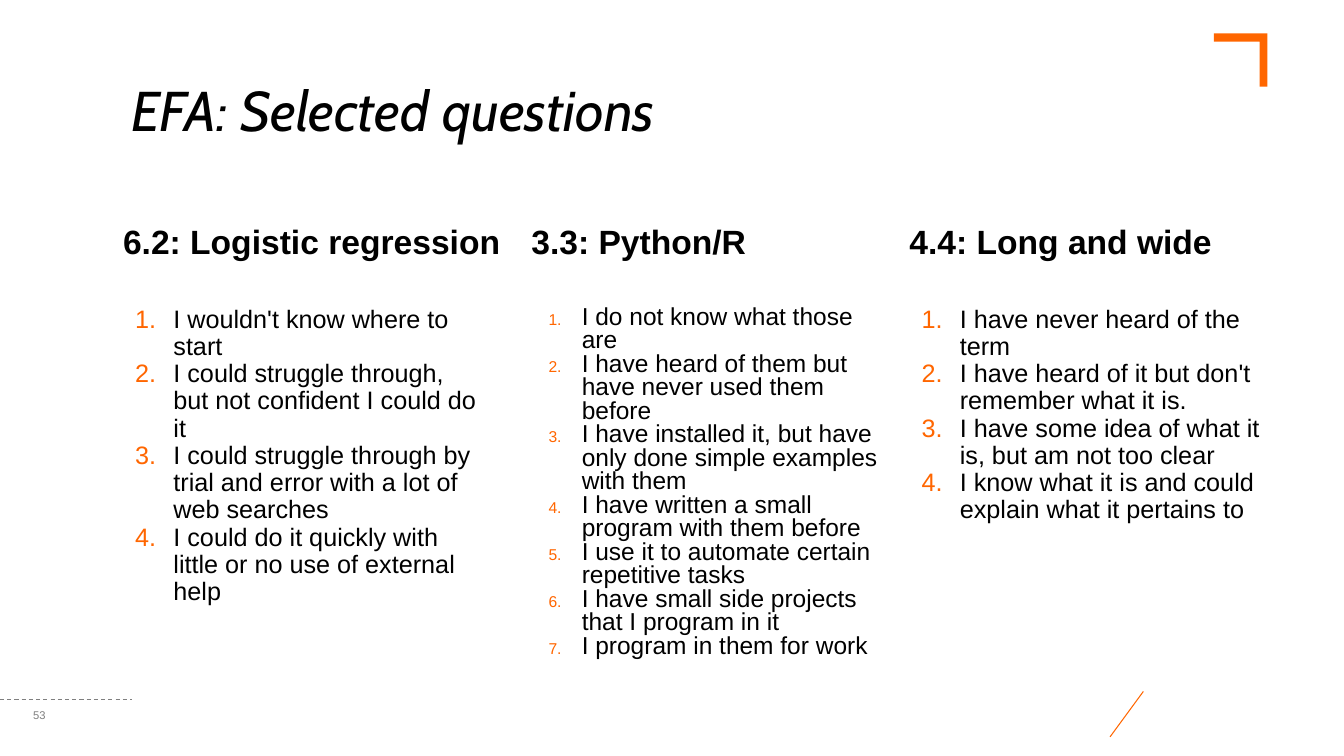
from lxml import etree
from pptx import Presentation
from pptx.dml.color import RGBColor
from pptx.enum.dml import MSO_LINE
from pptx.enum.shapes import MSO_CONNECTOR, MSO_SHAPE
from pptx.enum.text import MSO_ANCHOR as ANCHOR, MSO_AUTO_SIZE, PP_ALIGN
from pptx.oxml.ns import qn
from pptx.util import Inches, Pt

COLORS = {"text": "000000", "accent": "FF6600", "muted": "7F7F7F", "panel": "FFFFFF"}
COLORS = {name: RGBColor.from_string(value) for name, value in COLORS.items()}

# Each column: left, heading width, heading, size, line spacing, hanging indent,
# number size in percent, answers
COLUMNS = [
    (0.92, 5.64, "6.2: Logistic regression", 18, 0.9, 0.38, 100, [
        "I wouldn't know where to start",
        "I could struggle through, but not confident I could do it",
        "I could struggle through by trial and error with a lot of web searches",
        "I could do it quickly with little or no use of external help",
    ]),
    (4.97, 3.97, "3.3: Python/R", 17.5, 0.8, 0.33, 64, [
        "I do not know what those are",
        "I have heard of them but have never used them before",
        "I have installed it, but have only done simple examples with them",
        "I have written a small program with them before",
        "I use it to automate certain repetitive tasks",
        "I have small side projects that I program in it",
        "I program in them for work",
    ]),
    (8.72, 3.97, "4.4: Long and wide", 18, 0.9, 0.38, 100, [
        "I have never heard of the term",
        "I have heard of it but don't remember what it is.",
        "I have some idea of what it is, but am not too clear",
        "I know what it is and could explain what it pertains to",
    ]),
]


def set_up_box(box, place, insets, anchor, lines, size, color="text", font="Arial",
               spacing=0.9, bold=False, italic=False, number=None):
    """Place a box and fill it with lines, numbered if number is (hang, percent)."""
    box.left, box.top, box.width, box.height = map(Inches, place)
    frame = box.text_frame
    frame.word_wrap = True
    frame.auto_size = MSO_AUTO_SIZE.NONE
    frame.vertical_anchor = anchor
    (frame.margin_left, frame.margin_top,
     frame.margin_right, frame.margin_bottom) = map(Inches, insets)
    frame.text = "\n".join(lines)
    for para in frame.paragraphs:
        if number:
            hang, percent = number
            props = para._p.get_or_add_pPr()
            props.set("marL", str(Inches(0.5)))
            props.set("indent", str(-Inches(hang)))
            bullet_color = etree.SubElement(props, qn("a:buClr"))
            etree.SubElement(bullet_color, qn("a:srgbClr"), val=str(COLORS["accent"]))
            etree.SubElement(props, qn("a:buSzPct"), val=str(percent * 1000))
            etree.SubElement(props, qn("a:buFont"), typeface="Arial")
            etree.SubElement(props, qn("a:buAutoNum"), type="arabicPeriod")
        para.alignment = PP_ALIGN.LEFT
        para.line_spacing = spacing
        para.space_before = para.space_after = Pt(0)
        para.font.name = font
        para.font.size = Pt(size)
        para.font.bold = bold
        para.font.italic = italic
        para.font.color.rgb = COLORS[color]


deck = Presentation()
deck.slide_width, deck.slide_height = Inches(13.33), Inches(7.5)
page = deck.slides.add_slide(deck.slide_layouts.get_by_name("Comparison"))

# Decoration
for start, end, color, dash in [
    ((11.34, 6.86), (11.01, 7.31), "accent", None),
    ((0, 6.94), (1.31, 6.94), "muted", MSO_LINE.DASH),
]:
    rule = page.shapes.add_connector(MSO_CONNECTOR.STRAIGHT, *map(Inches, start + end))
    rule.line.color.rgb = COLORS[color]
    rule.line.width = Pt(0.75)
    rule.line.dash_style = dash
    etree.SubElement(rule._element.spPr, qn("a:effectLst"))

corner = page.shapes.add_shape(MSO_SHAPE.CORNER, *map(Inches, (12.04, 0.33, 0.53, 0.53)))
corner.rotation = 180
corner.adjustments[0], corner.adjustments[1] = 0.155, 0.147
corner.fill.solid()
corner.fill.fore_color.rgb = COLORS["accent"]
corner.line.fill.background()
corner.shadow.inherit = False

# Title
set_up_box(page.shapes.title, (0, 0.49, 12.42, 1.27), (1.3, 0.3, 0.6, 0.3),
           ANCHOR.MIDDLE, ["EFA: Selected questions"], 40, font="Cabin", italic=True)

# Question columns: the layout holds two, the third uses text boxes
boxes = [page.placeholders[index] for index in (1, 2, 3, 4)]
boxes += [page.shapes.add_textbox(0, 0, 0, 0) for part in ("heading", "answers")]
for box in boxes:
    box.fill.solid()
    box.fill.fore_color.rgb = COLORS["panel"]

PANEL_INSETS = (0.3, 0.3, 0.1, 0.05)
for column, heading_box, answer_box in zip(COLUMNS, boxes[::2], boxes[1::2]):
    left, heading_width, heading, size, spacing, hang, percent, answers = column
    set_up_box(heading_box, (left, 1.84, heading_width, 0.9), PANEL_INSETS,
               ANCHOR.MIDDLE, [heading], 24, bold=True)
    set_up_box(answer_box, (left, 2.74, 3.97, 4.03), PANEL_INSETS,
               ANCHOR.TOP, answers, size, spacing=spacing, number=(hang, percent))

# Page number
set_up_box(page.shapes.add_textbox(0, 0, 0, 0), (0.23, 6.89, 1.09, 0.4),
           (0.1, 0.05, 0.1, 0.05), ANCHOR.MIDDLE, ["53"], 8, color="muted", spacing=1.0)

deck.save("out.pptx")
